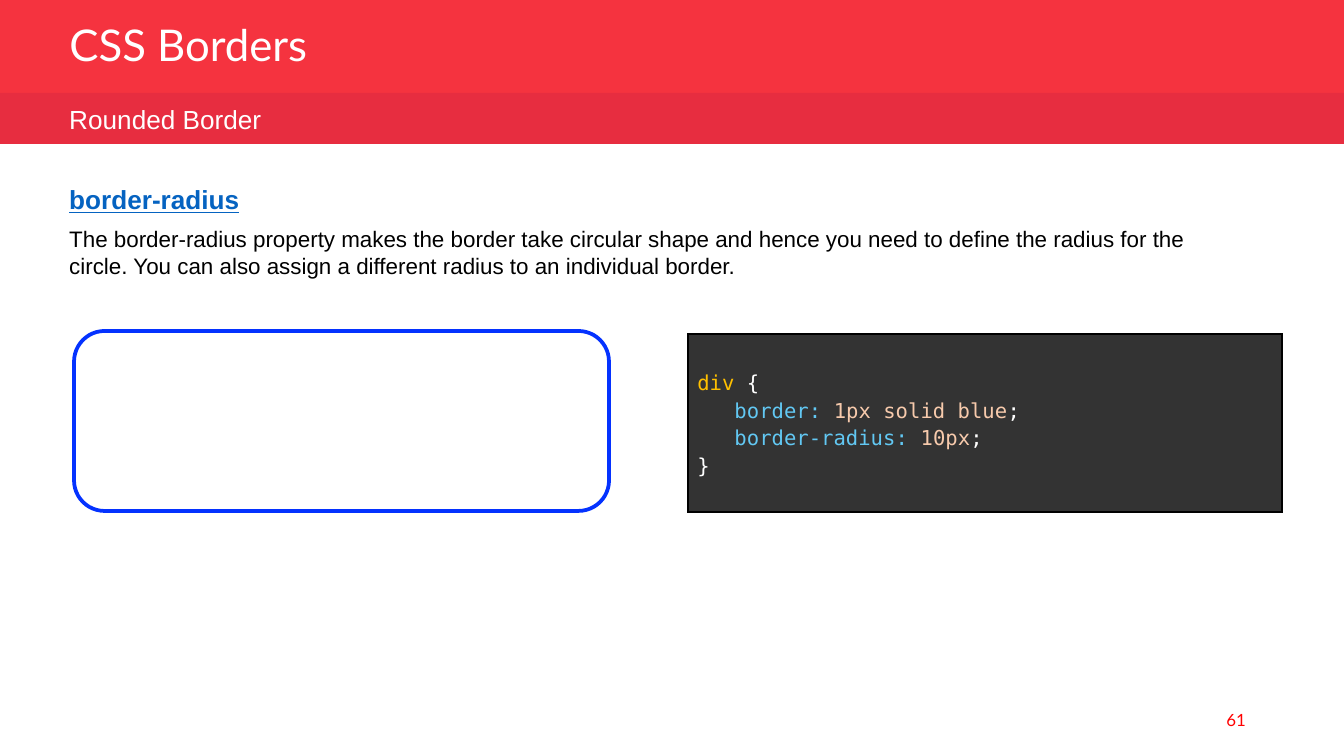
from lxml import etree
from pptx import Presentation
from pptx import util as u
from pptx.dml.color import RGBColor
from pptx.enum import shapes, text
from pptx.oxml import ns

EMU_PER_PX = 914400 / 134.4
WIDTH, HEIGHT = 1344, 756
LEFT = 56

COLORS = {
    "header": "F5333F", "band": "E72D40", "white": "FFFFFF", "black": "000000",
    "number": "FF0000", "link": "0563C1", "outline": "0432FF",
    "code": "333333", "selector": "FFC000", "property": "62C8F3", "value": "F7CAAC",
}

# Each code line is a list of (text, color) runs
CODE = [
    [("div", "selector"), (" {", "white")],
    [("   border: ", "property"), ("1px solid blue", "value"), (";", "white")],
    [("   border-radius: ", "property"), ("10px", "value"), (";", "white")],
    [("}", "white")],
]


def px(length):
    return u.Emu(round(length * EMU_PER_PX))


def place(*lengths):
    return [px(length) for length in lengths]


def color(name):
    return RGBColor.from_string(COLORS[name])


def add_run(para, words, size, fill, font="Arial", bold=False, underline=False):
    span = para.add_run()
    span.text = words
    span.font.name = font
    span.font.size = u.Pt(size)
    span.font.bold = bold
    span.font.underline = underline
    span.font.color.rgb = color(fill)


def add_text(page, area, words, size, fill, anchor=text.MSO_ANCHOR.TOP,
             align=text.PP_ALIGN.LEFT, **style):
    frame = page.shapes.add_textbox(*place(*area)).text_frame
    frame.word_wrap = True
    frame.vertical_anchor = anchor
    para = frame.paragraphs[0]
    para.alignment = align
    add_run(para, words, size, fill, **style)


def add_box(page, kind, area, fill=None, line=None):
    box = page.shapes.add_shape(kind, *place(*area))
    box.shadow.inherit = False
    if fill:
        box.fill.solid()
        box.fill.fore_color.rgb = color(fill)
    else:
        box.fill.background()
    if line:
        box.line.color.rgb = color(line)
        box.line.width = u.Pt(2)
    else:
        box.line.fill.background()
    return box


def set_title(page, area, words):
    title = page.shapes.title
    title.left, title.top, title.width, title.height = place(*area)
    # Bring the title in front of the header
    title.element.getparent().append(title.element)
    frame = title.text_frame
    frame.auto_size = text.MSO_AUTO_SIZE.NONE
    frame.vertical_anchor = text.MSO_ANCHOR.MIDDLE
    para = frame.paragraphs[0]
    para.alignment = text.PP_ALIGN.LEFT
    para.line_spacing = 0.8
    add_run(para, words, 23.4, "white", font="Lato")


def add_cell_borders(cell, line_color, width):
    properties = cell._tc.get_or_add_tcPr()
    for side in ("L", "R", "T", "B"):
        line = etree.SubElement(properties, ns.qn(f"a:ln{side}"), w=str(u.Pt(width)))
        fill = etree.SubElement(line, ns.qn("a:solidFill"))
        etree.SubElement(fill, ns.qn("a:srgbClr"), val=COLORS[line_color])


def add_code_table(page, area, lines):
    table = page.shapes.add_table(1, 1, *place(*area)).table
    table.first_row = table.horz_banding = False
    cell = table.cell(0, 0)
    add_cell_borders(cell, "black", 0.75)
    cell.fill.solid()
    cell.fill.fore_color.rgb = color("code")
    cell.vertical_anchor = text.MSO_ANCHOR.MIDDLE
    cell.margin_left = cell.margin_right = u.Inches(0.07)
    cell.margin_top = cell.margin_bottom = u.Inches(0.07)
    frame = cell.text_frame
    for index, spans in enumerate(lines):
        para = frame.add_paragraph() if index else frame.paragraphs[0]
        para.line_spacing = 1.15
        for words, fill in spans:
            add_run(para, words, 11, fill, font="DejaVu Sans Mono")


def main():
    deck = Presentation()
    deck.slide_width, deck.slide_height = place(WIDTH, HEIGHT)
    page = deck.slides.add_slide(deck.slide_layouts.get_by_name("Title Only"))

    # Header and page number
    rectangle = shapes.MSO_SHAPE.RECTANGLE
    add_box(page, rectangle, (0, 0, WIDTH, 94), fill="header")
    add_text(page, (957, 700, 302, 40), "61", 9, "number", font="Lato",
             anchor=text.MSO_ANCHOR.MIDDLE, align=text.PP_ALIGN.RIGHT)
    set_title(page, (LEFT, 19, 630, 59), "CSS Borders")
    add_box(page, rectangle, (0, 93, WIDTH, 51), fill="band")
    add_text(page, (LEFT, 97, 684, 46), "Rounded Border", 14, "white")

    # Code sample
    add_code_table(page, (688, 334, 594, 178), CODE)

    # Explanation
    add_text(page, (LEFT, 219, 1196, 77),
             "The border-radius property makes the border take circular shape and "
             "hence you need to define the radius for the circle. You can also "
             "assign a different radius to an individual border.", 12, "black")
    add_text(page, (LEFT, 177, 219, 46), "border-radius", 14, "link",
             bold=True, underline=True)

    # Rounded border example
    example = add_box(page, shapes.MSO_SHAPE.ROUNDED_RECTANGLE,
                      (74, 331, 535, 180), line="outline")
    example.adjustments[0] = 0.17

    deck.save("out.pptx")


if __name__ == "__main__":
    main()
